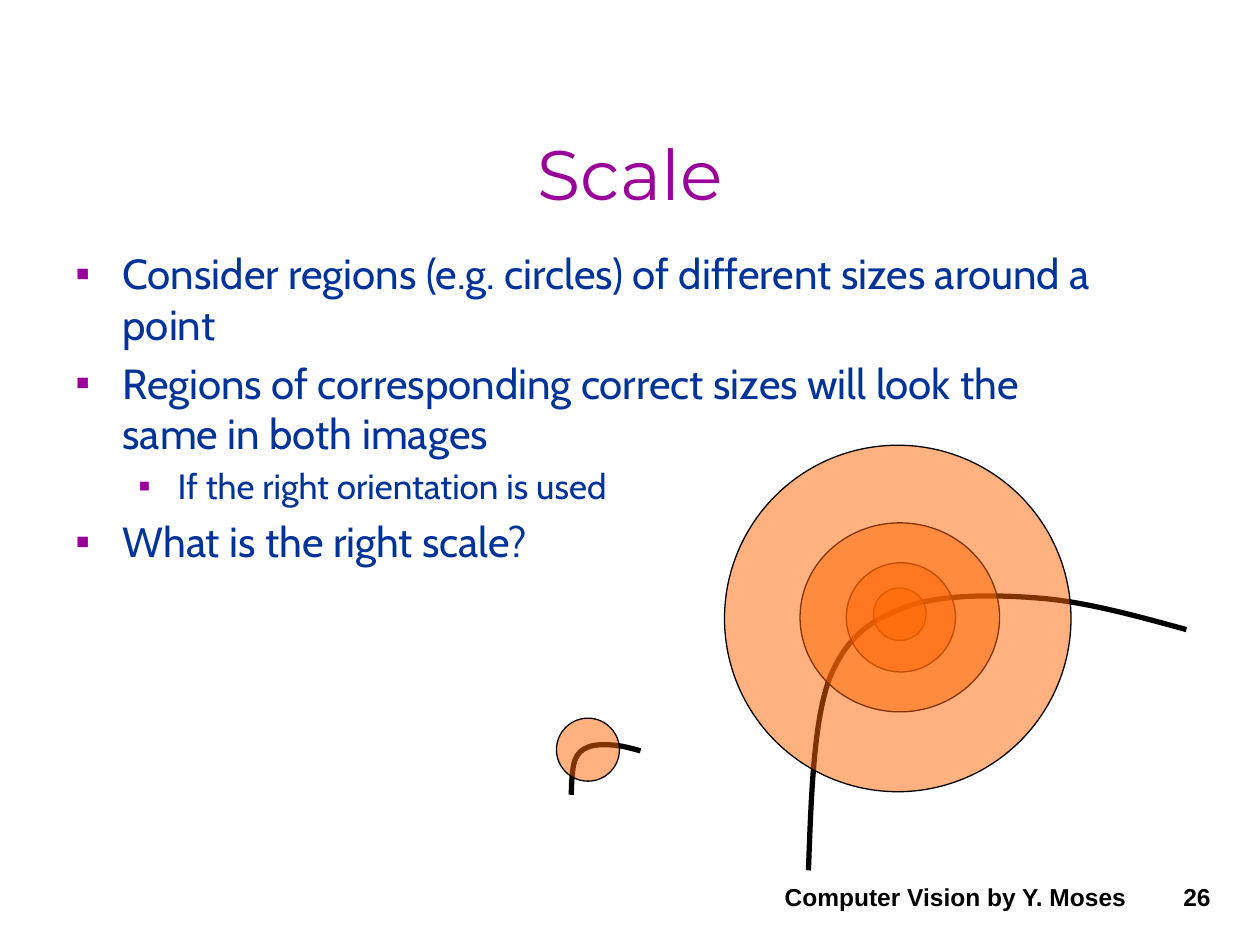
from collections import namedtuple

from lxml.etree import SubElement
from pptx import Presentation
from pptx.dml.color import RGBColor
from pptx.enum.shapes import MSO_SHAPE as Shape
from pptx.enum.text import MSO_ANCHOR as Anchor, MSO_AUTO_SIZE as AutoSize, PP_ALIGN as Align
from pptx.oxml.ns import qn
from pptx.util import Emu, Inches, Pt

# Grid of 120 columns by 90 rows
CELL = Inches(10) / 120
Box = namedtuple("Box", "left top width height")

PURPLE, BLUE, ORANGE, BLACK = "990099", "003399", "FF6600", "000000"

BULLETS = [
    (0, "Consider regions (e.g. circles) of different sizes around a point"),
    (0, "Regions of corresponding correct sizes will look the same in both images"),
    (1, "If the right orientation is used"),
    (0, "What is the right scale?"),
]
# For each level: font size, left margin and hanging indent in columns, space before
LEVELS = [(24, 4.5, 4.5, 5), (20, 9.75, 3.75, 4)]

# Edge contour: start, then Bezier triples, in percent of its box
CONTOUR = [
    (0, 100),
    (0.7, 74), (1.3, 47.5), (5.3, 31.5),
    (9.7, 16), (15.7, 10), (25, 5),
    (34, 0), (48.7, 0), (61, 1.4),
    (73.3, 2.7), (86.7, 7.8), (100, 12.8),
]


def color(value):
    return RGBColor.from_string(value)


def emu(lengths):
    return [Emu(round(length * CELL)) for length in lengths]


def style_font(font, name, size, value, bold=False):
    font.name, font.size, font.bold = name, Pt(size), bold
    font.color.rgb = color(value)


def add_title(page, box, text):
    title = page.shapes.title
    title.left, title.top, title.width, title.height = emu(box)
    frame = title.text_frame
    frame.text = text
    frame.auto_size = AutoSize.NONE
    frame.vertical_anchor = Anchor.BOTTOM
    para = frame.paragraphs[0]
    para.alignment = Align.CENTER
    style_font(para.runs[0].font, "Montserrat", 40, PURPLE)


def add_bullet(para, margin, hanging):
    props = para._p.get_or_add_pPr()
    left, indent = emu((margin, -hanging))
    props.set("marL", str(left))
    props.set("indent", str(indent))
    bullet_color = SubElement(props, qn("a:buClr"))
    SubElement(bullet_color, qn("a:srgbClr"), val=PURPLE)
    SubElement(props, qn("a:buFont"), typeface="Arial")
    SubElement(props, qn("a:buChar"), char="▪")


def add_body(page, box, bullets):
    frame = page.shapes.add_textbox(*emu(box)).text_frame
    frame.word_wrap = True
    for index, (level, text) in enumerate(bullets):
        para = frame.add_paragraph() if index else frame.paragraphs[0]
        size, margin, hanging, space = LEVELS[level]
        para.text = text
        para.level = level
        add_bullet(para, margin, hanging)
        para.space_before = Pt(space if index else 0)
        style_font(para.runs[0].font, "Cabin", size, BLUE)


def add_footer(page, box, text):
    frame = page.shapes.add_textbox(*emu(box)).text_frame
    frame.word_wrap = True
    frame.vertical_anchor = Anchor.BOTTOM
    frame.text = text
    para = frame.paragraphs[0]
    para.alignment = Align.CENTER
    style_font(para.runs[0].font, "Arial", 14, BLACK, bold=True)


def add_circle(shapes, box):
    circle = shapes.add_shape(Shape.OVAL, *emu(box))
    circle.shadow.inherit = False
    circle.fill.solid()
    circle.fill.fore_color.rgb = color(ORANGE)
    fill = circle.fill._xPr.find(qn("a:solidFill"))
    SubElement(fill[0], qn("a:alpha"), val="50000")
    circle.line.color.rgb = color(BLACK)
    circle.line.width = Pt(0.75)


def add_contour(shapes, box):
    left, top, width, height = emu(box)
    start, *rest = [(round(left + x * width / 100), round(top + y * height / 100))
                    for x, y in CONTOUR]
    builder = shapes.build_freeform(*start)
    builder.add_line_segments(rest, close=False)
    contour = builder.convert_to_shape()
    contour.shadow.inherit = False
    contour.fill.background()
    contour.line.color.rgb = color(BLACK)
    contour.line.width = Pt(3)

    # Join each three points into one Bezier segment
    outline = contour._element.find(".//" + qn("a:path"))
    segments = outline.findall(qn("a:lnTo"))
    for first in range(0, len(segments), 3):
        curve = SubElement(outline, qn("a:cubicBezTo"))
        for segment in segments[first:first + 3]:
            curve.append(segment[0])
            outline.remove(segment)


def add_corner(shapes, box, circles):
    """A curved edge with translucent circles on top."""
    add_contour(shapes, box)
    for circle in circles:
        add_circle(shapes, circle)


def main():
    deck = Presentation()
    deck.slide_width, deck.slide_height = emu((120, 90))
    page = deck.slides.add_slide(deck.slide_layouts[5])

    # Text
    add_footer(page, Box(95, 81.4, 38, 6), "26")
    add_title(page, Box(9, 6, 102, 15), "Scale")
    add_body(page, Box(6, 23, 102, 54), BULLETS)

    # Large corner with four scales, then the small corner
    add_corner(page.shapes, Box(77, 56.6, 36, 26.3), [
        Box(83.2, 56, 5, 5),
        Box(80.6, 53.6, 10.4, 10.4),
        Box(76.2, 49.8, 19, 18),
        Box(69, 42.4, 33, 33),
    ])
    small = page.shapes.add_group_shape()
    add_corner(small.shapes, Box(54.4, 70.9, 6.6, 4.8), [Box(53, 68.4, 6, 6)])

    add_footer(page, Box(72, 81.4, 38, 6), "Computer Vision by Y. Moses")
    deck.save("out.pptx")


if __name__ == "__main__":
    main()
